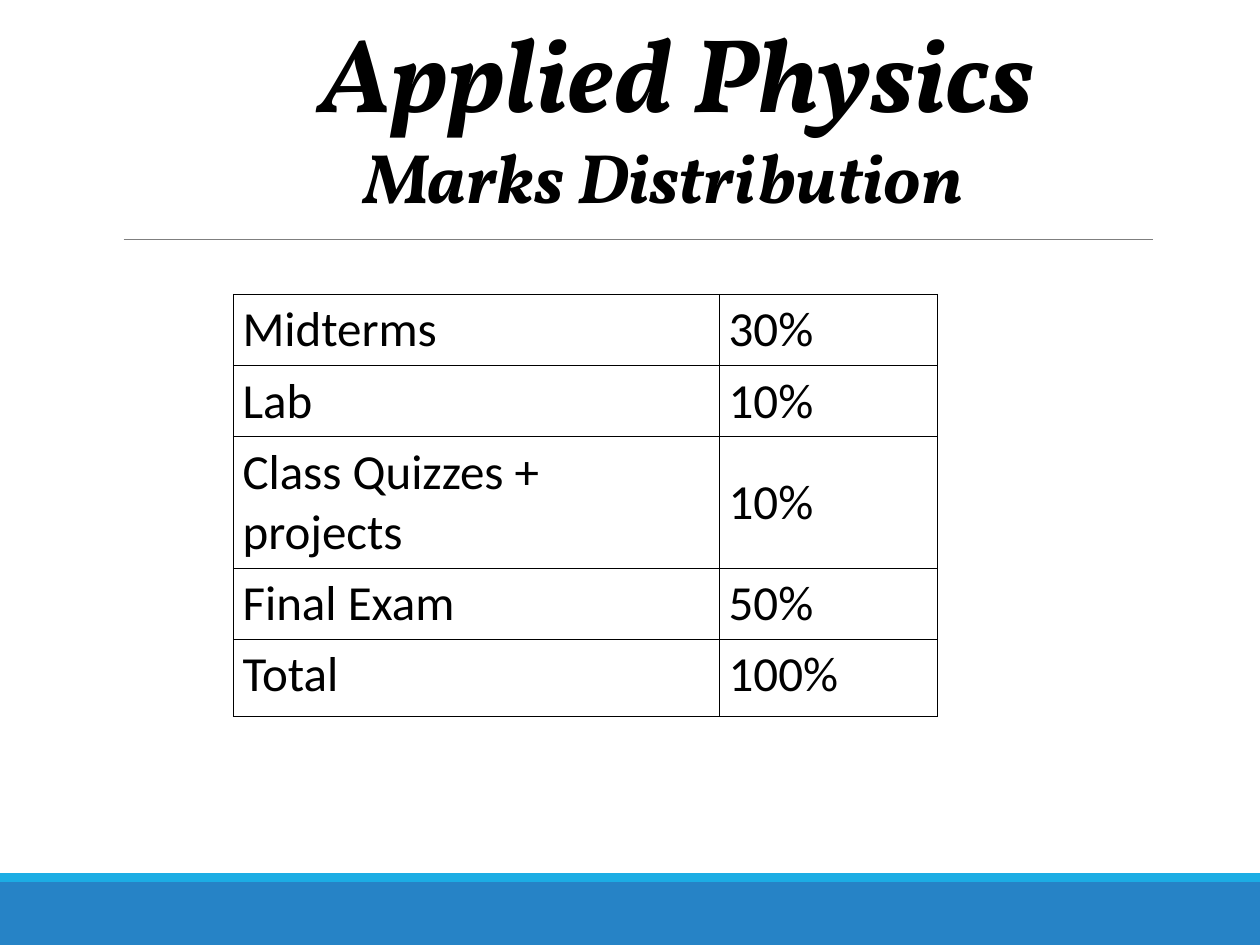
from pptx import Presentation
from pptx.dml.color import RGBColor
from pptx.enum.shapes import MSO_CONNECTOR, MSO_SHAPE
from pptx.enum.text import MSO_ANCHOR, MSO_AUTO_SIZE, PP_ALIGN
from pptx.oxml import parse_xml
from pptx.oxml.ns import nsdecls
from pptx.util import Cm, Pt

TITLE = [("Applied Physics", "heading"), ("Marks Distribution  ", "subheading")]
MARKS = [
    ("Midterms", "30%"),
    ("Lab", "10%"),
    ("Class Quizzes + projects", "10%"),
    ("Final Exam", "50%"),
    ("Total", "100%"),
]
COL_WIDTHS = [9.8, 4.39]
ROW_HEIGHTS = [1.4, 1.24, 2.36, 1.3, 1.55]
BARS = [(17.78, 1.27, "footer"), (17.6, 0.18, "accent")]

THEME = {
    "footer": "2683C6",
    "accent": "1CADE4",
    "rule": "7F7F7F",
    "border": "000000",
    "heading": {"name": "Vollkorn", "size": Pt(60), "bold": True, "italic": True},
    "subheading": {"name": "Vollkorn", "size": Pt(40), "bold": True, "italic": True},
    "cell": {"name": "Calibri", "size": Pt(28), "bold": False},
    "text": "000000",
}


def color(key):
    return RGBColor.from_string(THEME[key])


def set_all(obj, values):
    for name, value in values.items():
        setattr(obj, name, value)


def write(p, text, style):
    r = p.add_run()
    r.text = text
    set_all(r.font, THEME[style])
    r.font.color.rgb = color("text")


def add_bars(s, width):
    for top, height, key in BARS:
        sp = s.shapes.add_shape(MSO_SHAPE.RECTANGLE, 0, Cm(top), width, Cm(height))
        sp.shadow.inherit = False
        sp.fill.solid()
        sp.fill.fore_color.rgb = color(key)
        sp.line.fill.background()


def add_rule(s):
    line = s.shapes.add_connector(
        MSO_CONNECTOR.STRAIGHT, Cm(2.49), Cm(4.83), Cm(23.24), Cm(4.83))
    line.line.color.rgb = color("rule")
    line.line.width = Pt(0.5)
    line._element.spPr.append(parse_xml(f"<a:effectLst {nsdecls('a')}/>"))


def add_title(s):
    sp = s.shapes.title
    set_all(sp, {"left": Cm(1.9), "top": Cm(0), "width": Cm(23.5), "height": Cm(4.5)})
    tf = sp.text_frame
    set_all(tf, {"word_wrap": True, "auto_size": MSO_AUTO_SIZE.NONE,
                 "vertical_anchor": MSO_ANCHOR.TOP, "margin_top": Cm(0.15)})
    for i, (text, style) in enumerate(TITLE):
        p = tf.add_paragraph() if i else tf.paragraphs[0]
        set_all(p, {"alignment": PP_ALIGN.CENTER, "line_spacing": 1.0,
                    "space_before": Pt(0)})
        write(p, text, style)


def add_borders(cell):
    tcPr = cell._tc.get_or_add_tcPr()
    for side in "LRTB":
        tcPr.append(parse_xml(
            f'<a:ln{side} {nsdecls("a")} w="{Pt(0.45)}"><a:solidFill>'
            f'<a:srgbClr val="{THEME["border"]}"/></a:solidFill></a:ln{side}>'))


def add_marks(s):
    table = s.shapes.add_table(
        len(MARKS), len(COL_WIDTHS), Cm(4.7), Cm(5.93),
        Cm(sum(COL_WIDTHS)), Cm(sum(ROW_HEIGHTS))).table
    set_all(table, {"first_row": False, "horz_banding": False})
    for col, width in zip(table.columns, COL_WIDTHS):
        col.width = Cm(width)
    for i, (row, height) in enumerate(zip(table.rows, ROW_HEIGHTS)):
        row.height = Cm(height)
        last = i == len(MARKS) - 1
        for cell, text in zip(row.cells, MARKS[i]):
            set_all(cell, {
                "margin_left": Cm(0.19), "margin_right": Cm(0.25),
                "margin_top": Cm(0.12), "margin_bottom": Cm(0.11),
                "vertical_anchor": MSO_ANCHOR.TOP if last else MSO_ANCHOR.MIDDLE})
            add_borders(cell)
            cell.fill.background()
            write(cell.text_frame.paragraphs[0], text, "cell")


def main():
    prs = Presentation()
    set_all(prs, {"slide_width": Cm(25.4), "slide_height": Cm(19.05)})
    s = prs.slides.add_slide(prs.slide_layouts[5])
    add_bars(s, prs.slide_width)
    add_rule(s)
    add_title(s)
    add_marks(s)
    prs.save("out.pptx")


if __name__ == "__main__":
    main()
